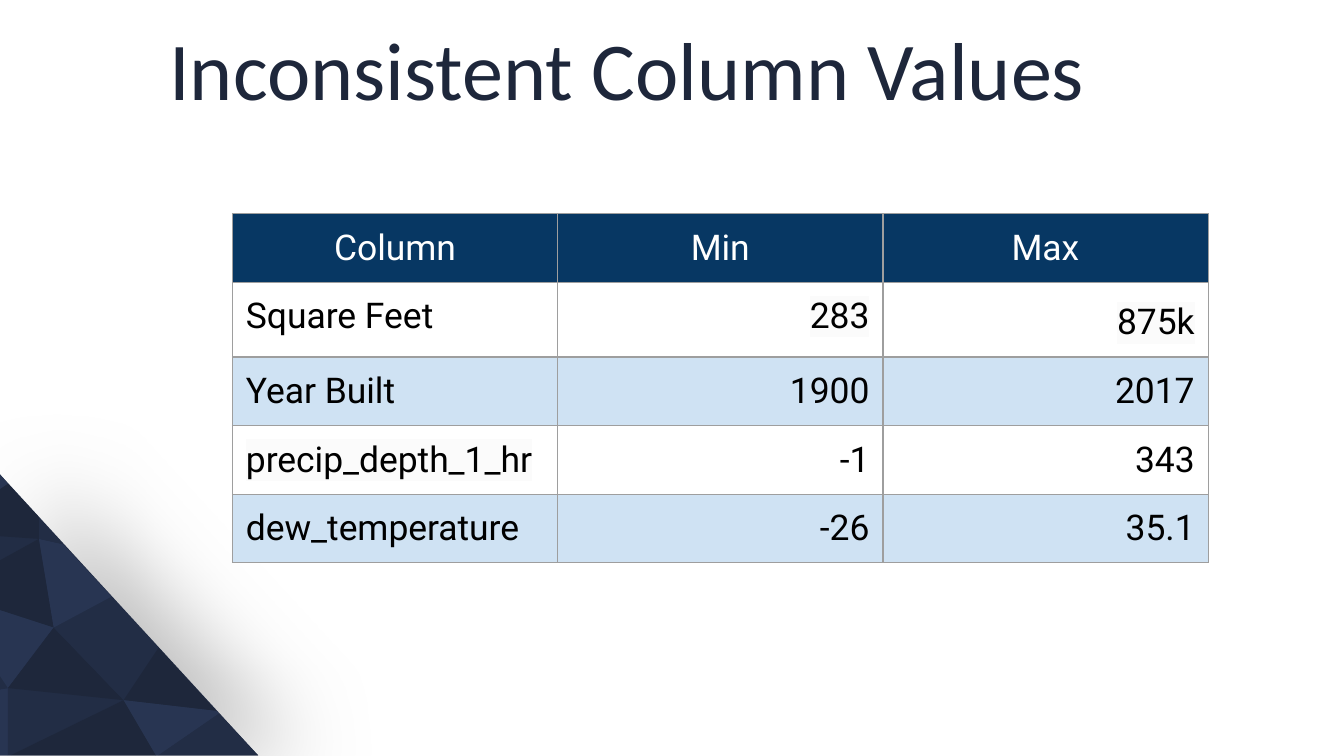
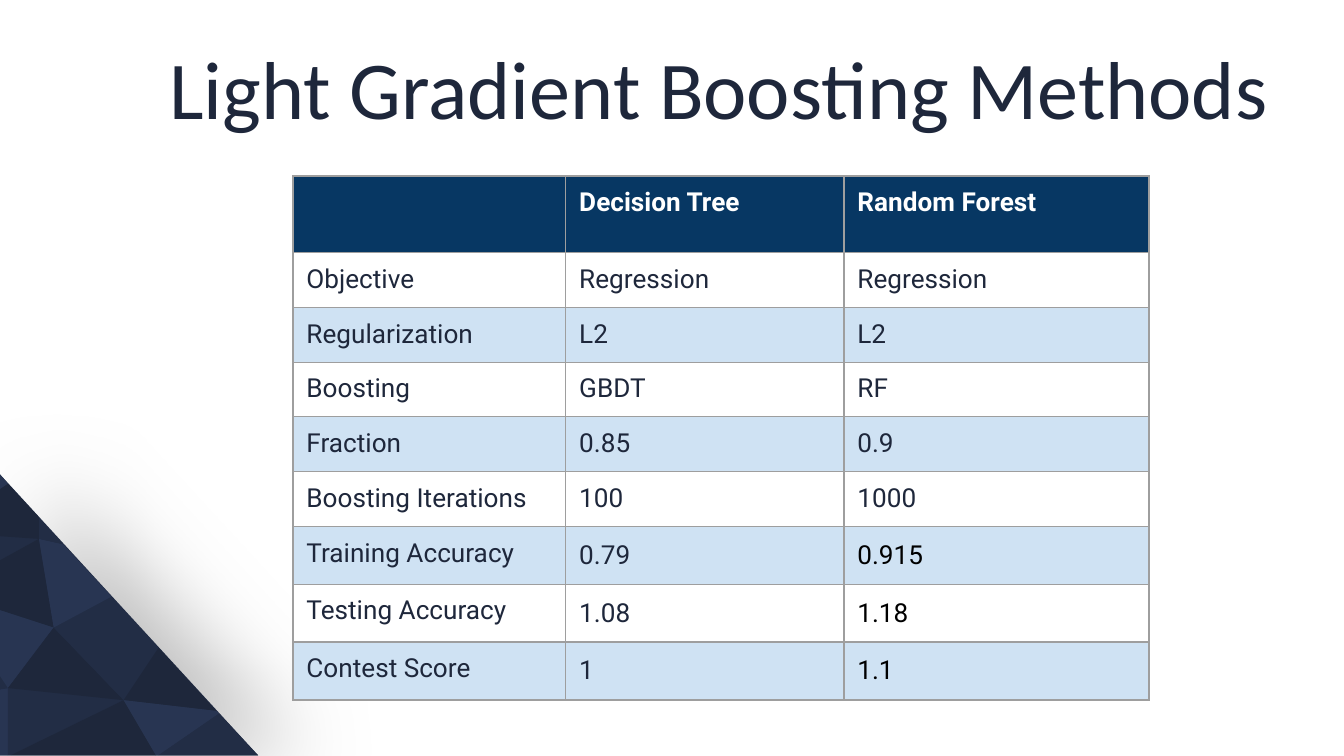
from lxml import etree
from pptx import Presentation
from pptx.dml.color import RGBColor
from pptx.enum.shapes import PP_PLACEHOLDER
from pptx.enum.text import MSO_ANCHOR, MSO_AUTO_SIZE, PP_ALIGN
from pptx.oxml.ns import qn
from pptx.util import Inches, Pt

LEFT, CENTER, RIGHT = PP_ALIGN.LEFT, PP_ALIGN.CENTER, PP_ALIGN.RIGHT
MIDDLE = MSO_ANCHOR.MIDDLE
NO_AUTOFIT = MSO_AUTO_SIZE.NONE
TITLE = PP_PLACEHOLDER.TITLE
TITLE_ONLY = 5

WIDTH = Inches(10)
HEIGHT = WIDTH * 9 // 16
TITLE_FONT, TABLE_FONT = "Calibri", "Roboto"
COLORS = {
    "dark": "1E273B", "mid": "222D45", "light": "283552", "shadow": "7F7F7F",
    "header": "073763", "band": "CFE2F3", "plain": "FFFFFF", "grid": "9E9E9E",
    "white": "FFFFFF", "black": "000000", "mark": "FBFBFB",
}

# Vertices of the corner mesh in hundredths of an inch:
# left edge, slope, bottom edge, interior.
MESH = {
    "L0": (0, 353), "L1": (0, 364), "L2": (0, 399), "L3": (0, 417),
    "L4": (0, 454), "L5": (0, 503), "L6": (0, 513), "L7": (0, 562),
    "S1": (6, 360), "S2": (29, 385), "S3": (38, 395),
    "S4": (47, 405), "S5": (83, 444), "S6": (105, 468),
    "S7": (118, 482), "S8": (161, 529), "S9": (163, 531),
    "B1": (6, 562), "B2": (8, 562), "B3": (116, 562),
    "B4": (118, 562), "B5": (192, 562),
    "I1": (29, 401), "I2": (40, 467), "I3": (6, 512), "I4": (92, 521),
}
FACETS = [
    ("mid", "L0 B5 L7"),
    ("light", "I3 B1 L7 L6"),
    ("mid", "L5 I3 L6"),
    ("mid", "B2 B1 I3 I4"),
    ("light", "L0 S1 L1"),
    ("mid", "L2 I1 L3"),
    ("dark", "S1 S2 I1 L2 L1"),
    ("dark", "I1 I2 L4 L3"),
    ("light", "L4 I2 I3 L5"),
    ("dark", "I4 I3 I2"),
    ("dark", "B3 B2 I4"),
    ("mid", "I4 I2 S6 S7"),
    ("light", "I2 I1 S4 S5"),
    ("mid", "S4 I1 S3"),
    ("dark", "S8 I4 S7"),
    ("light", "B4 B3 I4 S8 S9"),
    ("mid", "B5 B4 S9"),
]

VALUE_RANGES = [
    ("Column", "Min", "Max"),
    ("Square Feet", "283", "875k"),
    ("Year Built", "1900", "2017"),
    ("precip_depth_1_hr", "-1", "343"),
    ("dew_temperature", "-26", "35.1"),
]
MARKED_VALUES = {"283", "875k", "precip_depth_1_hr"}
BOOSTING_METHODS = [
    ("", "Decision Tree", "Random Forest"),
    ("Objective", "Regression", "Regression"),
    ("Regularization", "L2", "L2"),
    ("Boosting", "GBDT", "RF"),
    ("Fraction", "0.85", "0.9"),
    ("Boosting Iterations", "100", "1000"),
    ("Training Accuracy", "0.79", "0.915"),
    ("Testing Accuracy", "1.08", "1.18"),
    ("Contest Score", "1", "1.1"),
]
FIRST_RESULT_ROW = 6


def rgb(name):
    return RGBColor.from_string(COLORS[name])


def add_color(parent, name):
    return etree.SubElement(parent, qn("a:srgbClr"), val=COLORS[name])


def add_facet(shapes, color, points):
    (x, y), *rest = points
    outline = shapes.build_freeform(x, y, scale=Inches(0.01))
    outline.add_line_segments(rest, close=True)
    facet = outline.convert_to_shape()
    facet.shadow.inherit = False
    facet.fill.solid()
    facet.fill.fore_color.rgb = rgb(color)
    facet.line.fill.background()
    return facet


def cast_shadow(shape):
    effects = shape.element.spPr.find(qn("a:effectLst"))
    shadow = etree.SubElement(
        effects, qn("a:outerShdw"), blurRad=str(Pt(48)), dist=str(Pt(28)),
        dir="0", algn="l", rotWithShape="0")
    etree.SubElement(add_color(shadow, "shadow"), qn("a:alpha"), val="50000")


def keep_title_only(layout):
    for holder in list(layout.placeholders):
        if holder.placeholder_format.type != TITLE:
            layout.shapes.element.remove(holder.element)


def add_corner(layout, slide):
    """Build the corner mesh on a slide and move it to the layout behind it."""
    base = add_facet(slide.shapes, "mid", [(0, 360), (184, 560), (0, 560)])
    cast_shadow(base)
    mesh = [add_facet(slide.shapes, color, [MESH[v] for v in vertices.split()])
            for color, vertices in FACETS]
    corner = slide.shapes.add_group_shape([base, *mesh])
    layout.shapes.element.insert(2, corner.element)


def set_title(slide, text, top):
    title = slide.shapes.title
    title.left, title.top = Inches(1.16), Inches(top)
    title.width, title.height = Inches(8.41), Inches(0.9)
    frame = title.text_frame
    frame.text = text
    frame.word_wrap = True
    frame.auto_size = NO_AUTOFIT
    frame.vertical_anchor = MIDDLE
    line = frame.paragraphs[0]
    line.alignment, line.line_spacing = LEFT, 0.9
    line.font.name, line.font.size = TITLE_FONT, Pt(44)
    line.font.color.rgb = rgb("dark")


def outline_cell(cell):
    properties = cell._tc.get_or_add_tcPr()
    for position, side in enumerate(("lnL", "lnR", "lnT", "lnB")):
        border = etree.Element(qn(f"a:{side}"), w=str(Pt(0.75)))
        add_color(etree.SubElement(border, qn("a:solidFill")), "grid")
        properties.insert(position, border)


def mark_text(paragraph):
    properties = paragraph.runs[0].font._element
    add_color(etree.SubElement(properties, qn("a:highlight")), "mark")


def fill_cell(cell, text, fill, size, color, align=LEFT, spacing=1, bold=False, before=0):
    cell.fill.solid()
    cell.fill.fore_color.rgb = rgb(fill)
    outline_cell(cell)
    cell.margin_left = cell.margin_right = Inches(0.1)
    cell.margin_top = cell.margin_bottom = Inches(0.1)
    cell.text = text
    line = cell.text_frame.paragraphs[0]
    line.alignment, line.line_spacing, line.space_before = align, spacing, Pt(before)
    line.font.name, line.font.size, line.font.bold = TABLE_FONT, Pt(size), bold
    line.font.color.rgb = rgb(color)
    if text in MARKED_VALUES:
        mark_text(line)


def add_banded_table(slide, rows, left, top, widths, heights, size, cell_style):
    """cell_style(row, column) gives the text settings of one cell."""
    table = slide.shapes.add_table(
        len(rows), len(widths), Inches(left), Inches(top),
        Inches(sum(widths)), Inches(sum(heights))).table
    table.first_row = table.horz_banding = False
    for column, width in zip(table.columns, widths):
        column.width = Inches(width)
    for row, height in zip(table.rows, heights):
        row.height = Inches(height)
    for r, texts in enumerate(rows):
        fill = "header" if r == 0 else "plain" if r % 2 else "band"
        for c, text in enumerate(texts):
            fill_cell(table.cell(r, c), text, fill, size, **cell_style(r, c))


def range_style(row, column):
    if row == 0:
        return {"color": "white", "align": CENTER}
    return {"color": "black", "align": RIGHT if column else LEFT,
            "spacing": 1.15 if (row, column) == (1, 2) else 1}


def method_style(row, column):
    if row == 0:
        return {"color": "white", "bold": True, "spacing": 0.9, "before": 10}
    is_result = row >= FIRST_RESULT_ROW and column > 0
    return {"color": "black" if is_result and column == 2 else "dark",
            "spacing": 1 if is_result else 0.9}


def main():
    deck = Presentation()
    deck.slide_width, deck.slide_height = WIDTH, HEIGHT
    layout = deck.slide_layouts[TITLE_ONLY]
    keep_title_only(layout)

    ranges = deck.slides.add_slide(layout)
    add_corner(layout, ranges)
    set_title(ranges, "Inconsistent Column Values", 0.1)
    add_banded_table(ranges, VALUE_RANGES, 1.73, 1.59, [2.42] * 3,
                     [0.5, 0.54] + [0.5] * 3, 19, range_style)

    methods = deck.slides.add_slide(layout)
    set_title(methods, "Light Gradient Boosting Methods", 0.24)
    add_banded_table(methods, BOOSTING_METHODS, 2.18, 1.31, [2.03, 2.07, 2.27],
                     [0.57] + [0.4] * 5 + [0.42] * 3, 14, method_style)

    deck.save("out.pptx")


if __name__ == "__main__":
    main()
